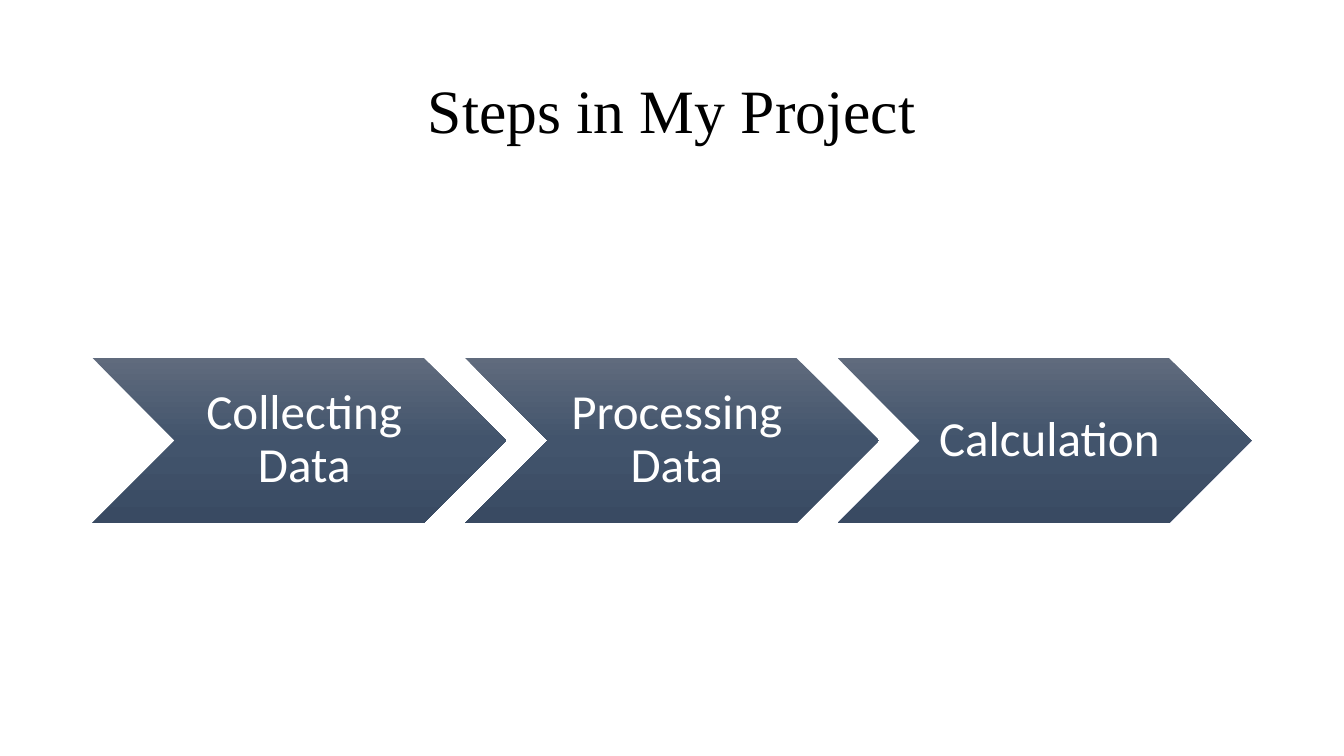
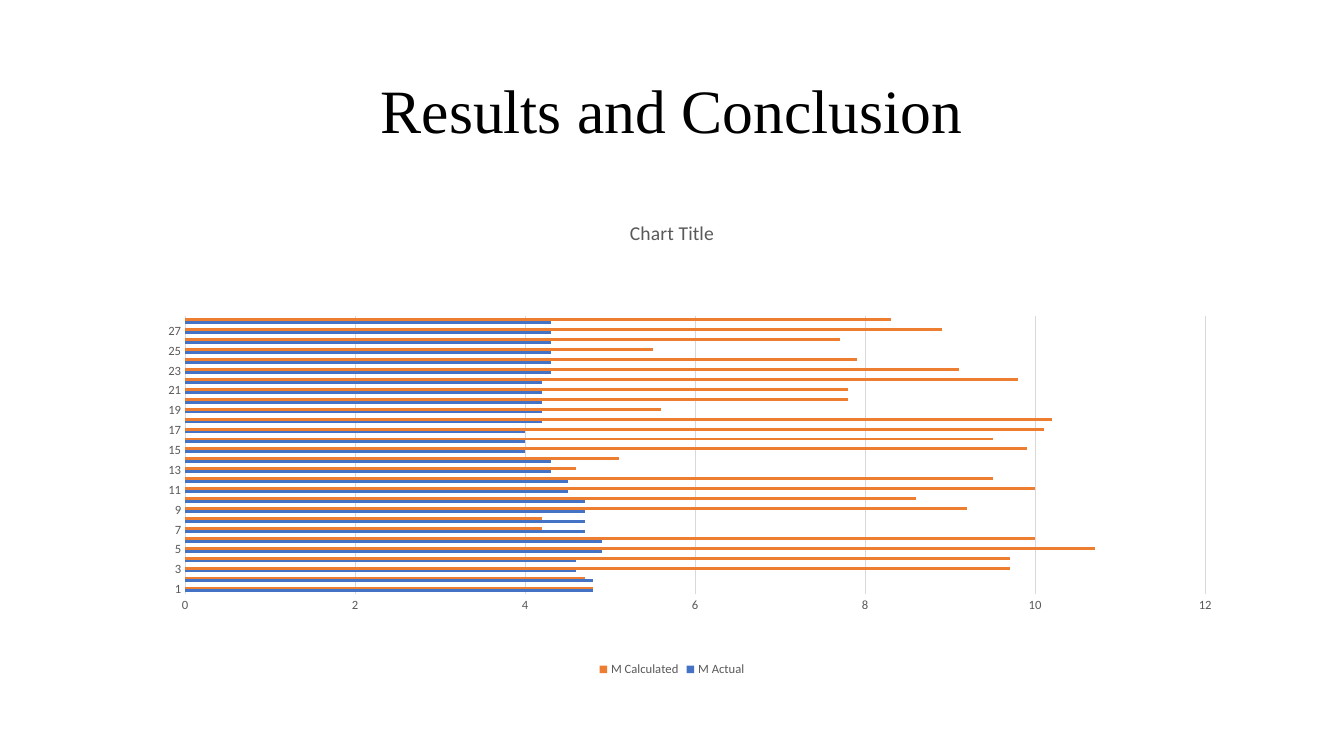
from copy import deepcopy

from lxml import etree
from pptx import Presentation
from pptx.chart.data import CategoryChartData
from pptx.dml.color import RGBColor
from pptx.enum import chart as ch, shapes, text
from pptx.oxml import ns
from pptx.util import Pt

BLACK = RGBColor(0x00, 0x00, 0x00)
WHITE = RGBColor(0xFF, 0xFF, 0xFF)
GRAY = RGBColor(0x59, 0x59, 0x59)
GRID = RGBColor(0xD9, 0xD9, 0xD9)
BLUE = RGBColor(0x44, 0x72, 0xC4)
ORANGE = RGBColor(0xED, 0x7D, 0x31)
SLATE_STOPS = [
    (0, RGBColor(0x60, 0x6B, 0x7D)),
    (0.5, RGBColor(0x42, 0x54, 0x6C)),
    (1, RGBColor(0x39, 0x4A, 0x62)),
]
TITLE_FONT, BODY_FONT = "Times New Roman", "Calibri"
LEFT, CONTENT_W = 66, 828

STEPS = ["Collecting Data", "Processing Data", "Calculation"]
ACTUAL = [4.8, 4.8, 4.6, 4.6, 4.9, 4.9, 4.7, 4.7, 4.7, 4.7, 4.5, 4.5, 4.3, 4.3,
          4, 4, 4, 4.2, 4.2, 4.2, 4.2, 4.2, 4.3, 4.3, 4.3, 4.3, 4.3, 4.3]
CALCULATED = [4.8, 4.7, 9.7, 9.7, 10.7, 10, 4.2, 4.2, 9.2, 8.6, 10, 9.5, 4.6, 5.1,
              9.9, 9.5, 10.1, 10.2, 5.6, 7.8, 7.8, 9.8, 9.1, 7.9, 5.5, 7.7, 8.9, 8.3]


def set_font(font, name, size, color):
    font.name, font.size, font.color.rgb = name, Pt(size), color


def write_centred(tf, words, font, size, color):
    tf.text = words
    tf.word_wrap = True
    tf.auto_size = text.MSO_AUTO_SIZE.NONE
    tf.vertical_anchor = text.MSO_ANCHOR.MIDDLE
    p = tf.paragraphs[0]
    p.alignment = text.PP_ALIGN.CENTER
    p.line_spacing = 0.9
    set_font(p.runs[0].font, font, size, color)


def add_titled_slide(prs, title):
    s = prs.slides.add_slide(prs.slide_layouts[5])
    sp = s.shapes.title
    sp.left, sp.top, sp.width, sp.height = Pt(LEFT), Pt(28.75), Pt(CONTENT_W), Pt(104.4)
    write_centred(sp.text_frame, title, TITLE_FONT, 44, BLACK)
    return s


def fill_downward(sp, stops):
    """Fill a shape with a top-to-bottom gradient of (position, colour) stops."""
    sp.fill.gradient()
    sp.fill.gradient_angle = 270
    gs_list = sp._element.spPr.find(".//" + ns.qn("a:gsLst"))
    while len(gs_list) < len(stops):
        gs_list.append(deepcopy(gs_list[0]))
    for stop, (position, color) in zip(sp.fill.gradient_stops, stops):
        stop.position = position
        stop.color.rgb = color


def add_chevron_row(s, steps, top, height):
    """Spread chevrons over the content width, each overlapping a tenth of the one before."""
    width = CONTENT_W / (len(steps) - 0.1 * (len(steps) - 1))
    for i, step in enumerate(steps):
        sp = s.shapes.add_shape(shapes.MSO_SHAPE.CHEVRON, Pt(LEFT + i * 0.9 * width),
                                Pt(top), Pt(width), Pt(height))
        sp.shadow.inherit = False
        sp.line.fill.background()
        fill_downward(sp, SLATE_STOPS)
        tf = sp.text_frame
        tf.margin_left = Pt(10.5)
        tf.margin_right = tf.margin_top = tf.margin_bottom = Pt(3.5)
        write_centred(tf, step, BODY_FONT, 35, WHITE)


def set_plot_area(chart, x, y, w, h):
    """Place the inner plot area, in fractions of the chart."""
    plot_area = chart._chartSpace.chart.plotArea
    for old in plot_area.findall(ns.qn("c:layout")):
        plot_area.remove(old)
    layout = etree.Element(ns.qn("c:layout"))
    manual = etree.SubElement(layout, ns.qn("c:manualLayout"))
    settings = {"layoutTarget": "inner", "xMode": "edge", "yMode": "edge",
                "x": x, "y": y, "w": w, "h": h}
    for tag, value in settings.items():
        etree.SubElement(manual, ns.qn("c:" + tag)).set("val", str(value))
    plot_area.insert(0, layout)


def style_axis(axis):
    axis.major_tick_mark = axis.minor_tick_mark = ch.XL_TICK_MARK.NONE
    axis.format.line.fill.background()
    set_font(axis.tick_labels.font, BODY_FONT, 9, GRAY)


def add_bar_chart(s, title, series, top, height):
    """Draw (name, values, colour) series as clustered bars."""
    data = CategoryChartData()
    data.categories = [str(n + 1) for n in range(len(series[0][1]))]
    for name, values, _ in series:
        data.add_series(name, values)
    chart = s.shapes.add_chart(ch.XL_CHART_TYPE.BAR_CLUSTERED, Pt(LEFT), Pt(top),
                               Pt(CONTENT_W), Pt(height), data).chart
    set_font(chart.font, BODY_FONT, 10, BLACK)
    chart.has_title = True
    tf = chart.chart_title.text_frame
    tf.text = title
    font = tf.paragraphs[0].runs[0].font
    set_font(font, BODY_FONT, 14, GRAY)
    font.bold = False

    plot = chart.plots[0]
    plot.gap_width = 150
    plot.vary_by_categories = False
    for bars, (_, _, color) in zip(plot.series, series):
        bars.format.fill.solid()
        bars.format.fill.fore_color.rgb = color

    style_axis(chart.category_axis)
    style_axis(chart.value_axis)
    chart.value_axis.has_major_gridlines = True
    line = chart.value_axis.major_gridlines.format.line
    line.color.rgb, line.width = GRID, Pt(0.75)

    chart.has_legend = True
    chart.legend.position = ch.XL_LEGEND_POSITION.BOTTOM
    chart.legend.include_in_layout = False
    set_font(chart.legend.font, BODY_FONT, 9, GRAY)
    set_plot_area(chart, 0.08, 0.24, 0.88, 0.58)


def main():
    prs = Presentation()
    prs.slide_width, prs.slide_height = Pt(960), Pt(540)

    s = add_titled_slide(prs, "Steps in My Project")
    add_chevron_row(s, STEPS, top=255.6, height=118.2)

    s = add_titled_slide(prs, "Results and Conclusion")
    add_bar_chart(s, "Chart Title", [("M Actual", ACTUAL, BLUE),
                                     ("M Calculated", CALCULATED, ORANGE)],
                  top=143.75, height=342.6)

    prs.save("out.pptx")


if __name__ == "__main__":
    main()
